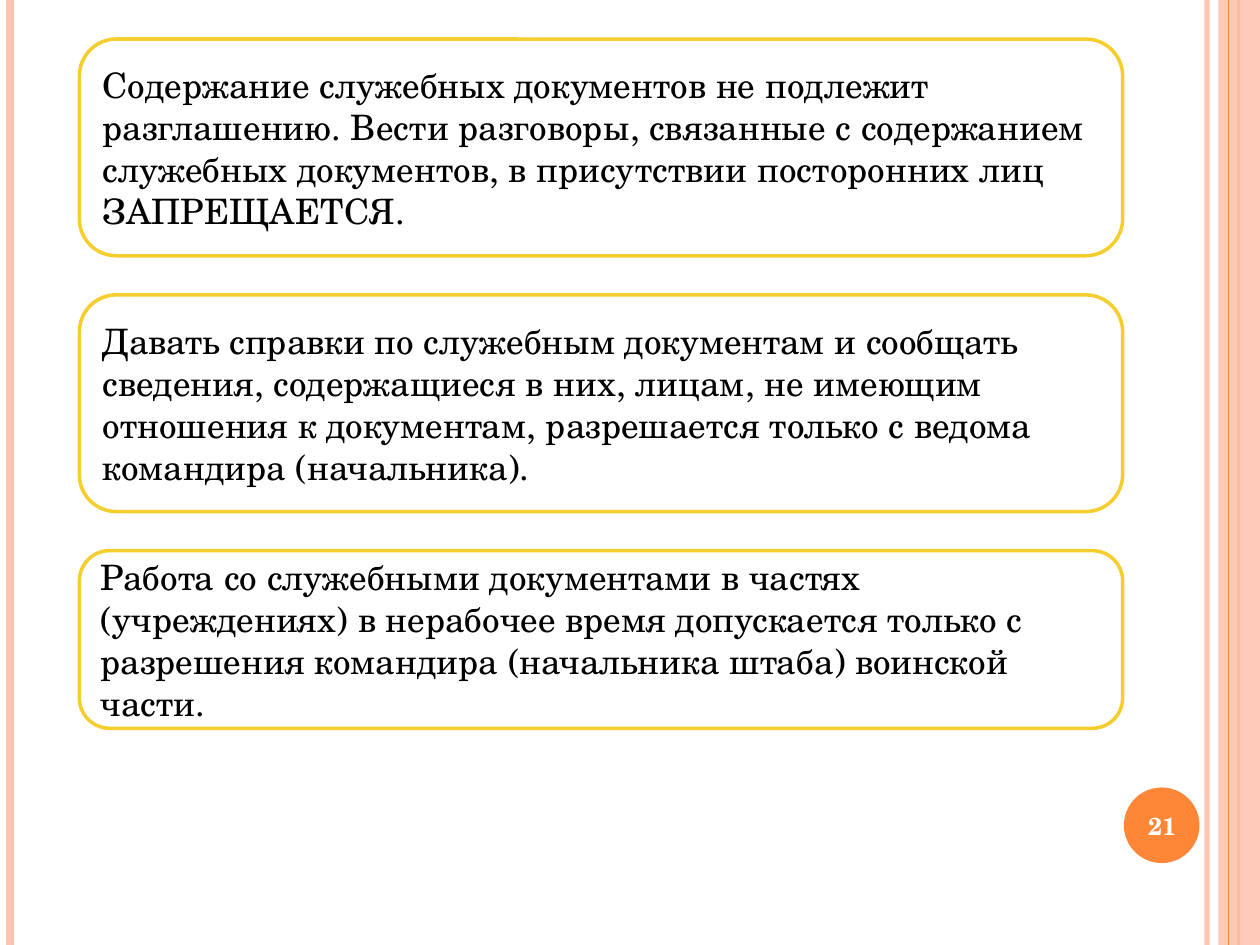
"""Builds the slide on handling service documents."""
from lxml import etree
from pptx import Presentation
from pptx.dml.color import RGBColor
from pptx.enum.shapes import MSO_CONNECTOR, MSO_SHAPE
from pptx.enum.text import MSO_ANCHOR, PP_ALIGN
from pptx.oxml.ns import qn
from pptx.util import Inches, Pt

STRAIGHT = MSO_CONNECTOR.STRAIGHT
RECT, OVAL, ROUND = MSO_SHAPE.RECTANGLE, MSO_SHAPE.OVAL, MSO_SHAPE.ROUNDED_RECTANGLE
MIDDLE = MSO_ANCHOR.MIDDLE
LEFT, CENTER = PP_ALIGN.LEFT, PP_ALIGN.CENTER
FONT = "TeX Gyre Schola"
PEACH, ORANGE, YELLOW, WHITE, BLACK = "FEC3AE", "FE8637", "F5CD2D", "FFFFFF", "000000"


def paint(color, tone, alpha=100):
    """Set a hex colour, with opacity in percent."""
    color.rgb = RGBColor.from_string(tone)
    if alpha < 100:
        node = color._xFill.find(qn("a:srgbClr"))
        etree.SubElement(node, qn("a:alpha")).set("val", str(alpha * 1000))


def write(shape, text, align, tone, form):
    """Put one formatted paragraph into a shape."""
    frame = shape.text_frame
    frame.word_wrap = True
    frame.vertical_anchor = MIDDLE
    par = frame.paragraphs[0]
    par.alignment = align
    run = par.add_run()
    run.text = text
    for key, value in form.items():
        setattr(run.font, key, value)
    paint(run.font.color, tone)


deck = Presentation()
deck.slide_width, deck.slide_height = Inches(10), Inches(7.5)
slide = deck.slides.add_slide(deck.slide_layouts[6])
shapes = slide.shapes

stripes = [
    (9.58, PEACH, 3, 93),
    (0.08, PEACH, 4.5, 100),
    (9.83, ORANGE, 1.5, 100),
    (9.75, ORANGE, 0.75, 100),
]
for x, tone, width, alpha in stripes:
    if x == 9.75:
        band = shapes.add_shape(RECT, Inches(9.67), 0, Inches(0.33), Inches(7.5))
        band.shadow.inherit = False
        band.fill.solid()
        paint(band.fill.fore_color, PEACH, 87)
        band.line.fill.background()
    stripe = shapes.add_connector(STRAIGHT, Inches(x), 0, Inches(x), Inches(7.5))
    stripe.line.width = Pt(width)
    stripe.line.fill.solid()
    paint(stripe.line.fill.fore_color, tone, alpha)
    etree.SubElement(stripe._element.spPr, qn("a:effectLst"))

badge = shapes.add_shape(OVAL, Inches(8.92), Inches(6.25), Inches(0.6), Inches(0.6))
badge.shadow.inherit = False
badge.fill.solid()
paint(badge.fill.fore_color, ORANGE)
badge.line.fill.background()
number = shapes.add_textbox(Inches(8.89), Inches(6.27), Inches(0.67), Inches(0.57))
write(number, "21", CENTER, WHITE, {"name": FONT, "size": Pt(14), "bold": True})

rules = [
    (1.72, "Содержание служебных документов не подлежит разглашению. Вести разговоры, "
     "связанные с содержанием служебных документов, в присутствии посторонних лиц ЗАПРЕЩАЕТСЯ."),
    (1.72, "Давать справки по служебным документам и сообщать сведения, содержащиеся в них, "
     "лицам, не имеющим отношения к документам, разрешается только с ведома командира (начальника)."),
    (1.41, "Работа со служебными документами в частях (учреждениях) в нерабочее время "
     "допускается только с разрешения командира (начальника штаба) воинской части."),
]
gap = 0.31
top = gap
for height, text in rules:
    card = shapes.add_shape(ROUND, Inches(0.63), Inches(top), Inches(8.28), Inches(height))
    card.adjustments[0] = 0.17
    card.shadow.inherit = False
    card.fill.solid()
    paint(card.fill.fore_color, WHITE)
    card.line.width = Pt(2)
    paint(card.line.color, YELLOW)
    write(card, text, LEFT, BLACK, {"name": FONT, "size": Pt(20)})
    top += height + gap

deck.save("out.pptx")
